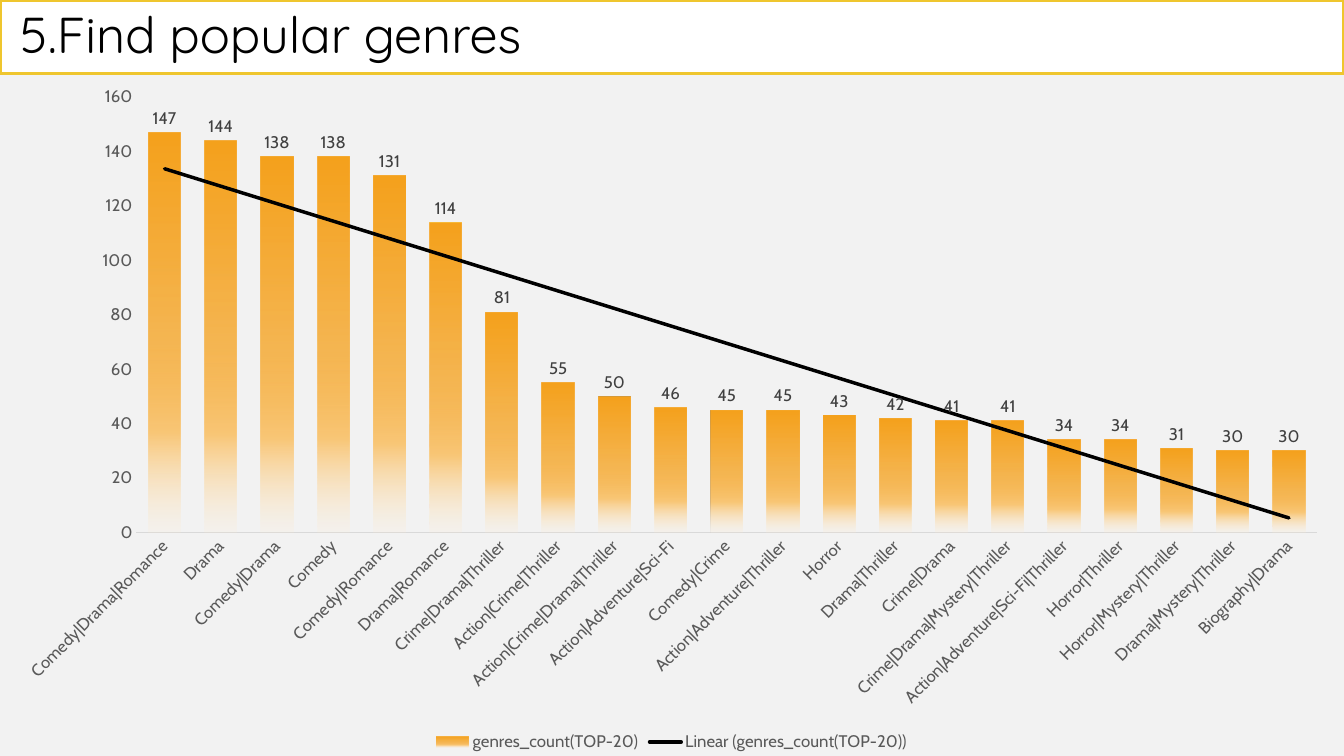
from lxml import etree
from pptx import Presentation
from pptx.chart.data import CategoryChartData
from pptx.dml.color import RGBColor
from pptx.enum.chart import (XL_CHART_TYPE, XL_LABEL_POSITION,
                             XL_LEGEND_POSITION, XL_TICK_MARK)
from pptx.enum.text import MSO_ANCHOR, MSO_AUTO_SIZE, PP_ALIGN
from pptx.oxml import parse_xml
from pptx.oxml.ns import nsdecls, qn
from pptx.util import Inches, Pt

COLUMNS = XL_CHART_TYPE.COLUMN_CLUSTERED
OUTSIDE_END = XL_LABEL_POSITION.OUTSIDE_END
BOTTOM = XL_LEGEND_POSITION.BOTTOM
NO_TICKS = XL_TICK_MARK.NONE
MIDDLE = MSO_ANCHOR.MIDDLE
NO_AUTOFIT = MSO_AUTO_SIZE.NONE
LEFT = PP_ALIGN.LEFT

TITLE_ONLY = 5
WIDTH, HEIGHT, TITLE_HEIGHT = 13.33, 7.5, 0.73
GREY = "595959"

SERIES_NAME = "genres_count(TOP-20)"
GENRE_COUNTS = [
    ("Comedy|Drama|Romance", 147),
    ("Drama", 144),
    ("Comedy|Drama", 138),
    ("Comedy", 138),
    ("Comedy|Romance", 131),
    ("Drama|Romance", 114),
    ("Crime|Drama|Thriller", 81),
    ("Action|Crime|Thriller", 55),
    ("Action|Crime|Drama|Thriller", 50),
    ("Action|Adventure|Sci-Fi", 46),
    ("Comedy|Crime", 45),
    ("Action|Adventure|Thriller", 45),
    ("Horror", 43),
    ("Drama|Thriller", 42),
    ("Crime|Drama", 41),
    ("Crime|Drama|Mystery|Thriller", 41),
    ("Action|Adventure|Sci-Fi|Thriller", 34),
    ("Horror|Thriller", 34),
    ("Horror|Mystery|Thriller", 31),
    ("Drama|Mystery|Thriller", 30),
    ("Biography|Drama", 30),
]
# Position, colour and opacity, all in percent
BAR_STOPS = [(0, "F6A21D", 100), (51, "F6A21D", 75),
             (75, "FAC777", 100), (100, "FDECD2", 15)]


def color(hex_string):
    return RGBColor.from_string(hex_string)


def style_font(font, size, hex_string, name="Cabin"):
    font.size = Pt(size)
    font.name = name
    font.color.rgb = color(hex_string)


def add_title(page, text):
    box = page.shapes.title
    box.left, box.top = Inches(0), Inches(0)
    box.width, box.height = Inches(WIDTH), Inches(TITLE_HEIGHT)
    box.fill.solid()
    box.fill.fore_color.rgb = color("FFFFFF")
    box.line.color.rgb = color("EFC62E")
    box.line.width = Pt(2.5)
    frame = box.text_frame
    frame.text = text
    frame.auto_size = NO_AUTOFIT
    frame.vertical_anchor = MIDDLE
    frame.margin_left = frame.margin_right = Inches(0.2)
    frame.margin_top = frame.margin_bottom = Inches(0.2)
    para = frame.paragraphs[0]
    para.alignment = LEFT
    para.line_spacing = 0.9
    style_font(para.runs[0].font, 36, "000000", "Quicksand")


def fill_gradient(series, stops):
    """Fill the bars from top to bottom with partly transparent stops."""
    properties = series._element.get_or_add_spPr()
    gradient = etree.SubElement(properties, qn("a:gradFill"))
    stop_list = etree.SubElement(gradient, qn("a:gsLst"))
    for position, hex_string, opacity in stops:
        stop = etree.SubElement(stop_list, qn("a:gs"), pos=str(position * 1000))
        tint = etree.SubElement(stop, qn("a:srgbClr"), val=hex_string)
        if opacity < 100:
            etree.SubElement(tint, qn("a:alpha"), val=str(opacity * 1000))
    etree.SubElement(gradient, qn("a:lin"), ang="5400000", scaled="0")


def add_trend_line(series, hex_string, points):
    trend = parse_xml(
        f'<c:trendline {nsdecls("c", "a")}>'
        f'<c:spPr><a:ln w="{Pt(points)}" cap="rnd"><a:solidFill>'
        f'<a:srgbClr val="{hex_string}"/></a:solidFill></a:ln></c:spPr>'
        '<c:trendlineType val="linear"/>'
        '<c:dispRSqr val="0"/><c:dispEq val="0"/></c:trendline>')
    series._element.find(qn("c:cat")).addprevious(trend)


def style_axis(axis):
    axis.has_major_gridlines = False
    axis.major_tick_mark = axis.minor_tick_mark = NO_TICKS
    style_font(axis.tick_labels.font, 12, GREY)


def style_axes(chart):
    genres, counts = chart.category_axis, chart.value_axis
    style_axis(genres)
    genres.format.line.color.rgb = color("D9D9D9")
    genres.format.line.width = Pt(0.75)
    slant = genres._element.find(qn("c:txPr")).find(qn("a:bodyPr"))
    slant.set("rot", "-2700000")
    slant.set("vert", "horz")

    style_axis(counts)
    counts.format.line.fill.background()
    counts.minimum_scale, counts.maximum_scale = 0, 160
    counts.major_unit = 20


def add_genre_chart(page):
    data = CategoryChartData()
    data.categories = [genre for genre, count in GENRE_COUNTS]
    data.add_series(SERIES_NAME, [count for genre, count in GENRE_COUNTS])
    chart = page.shapes.add_chart(
        COLUMNS, Inches(0), Inches(TITLE_HEIGHT), Inches(WIDTH),
        Inches(HEIGHT - TITLE_HEIGHT), data).chart
    style_font(chart.font, 10, "000000")
    chart.has_title = False
    style_axes(chart)

    # Legend
    chart.has_legend = True
    chart.legend.position = BOTTOM
    chart.legend.include_in_layout = False
    style_font(chart.legend.font, 12, GREY)

    # Bars, value labels and trend
    plot = chart.plots[0]
    plot.gap_width = 75
    plot.vary_by_categories = False
    series = plot.series[0]
    fill_gradient(series, BAR_STOPS)
    labels = series.data_labels
    labels.show_value = True
    labels.position = OUTSIDE_END
    style_font(labels.font, 12, "404040")
    add_trend_line(series, "000000", 2.5)


def main():
    deck = Presentation()
    deck.slide_width, deck.slide_height = Inches(WIDTH), Inches(HEIGHT)
    page = deck.slides.add_slide(deck.slide_layouts[TITLE_ONLY])
    page.background.fill.solid()
    page.background.fill.fore_color.rgb = color("F2F2F2")
    add_title(page, "5.Find popular genres")
    add_genre_chart(page)
    deck.save("out.pptx")


if __name__ == "__main__":
    main()
